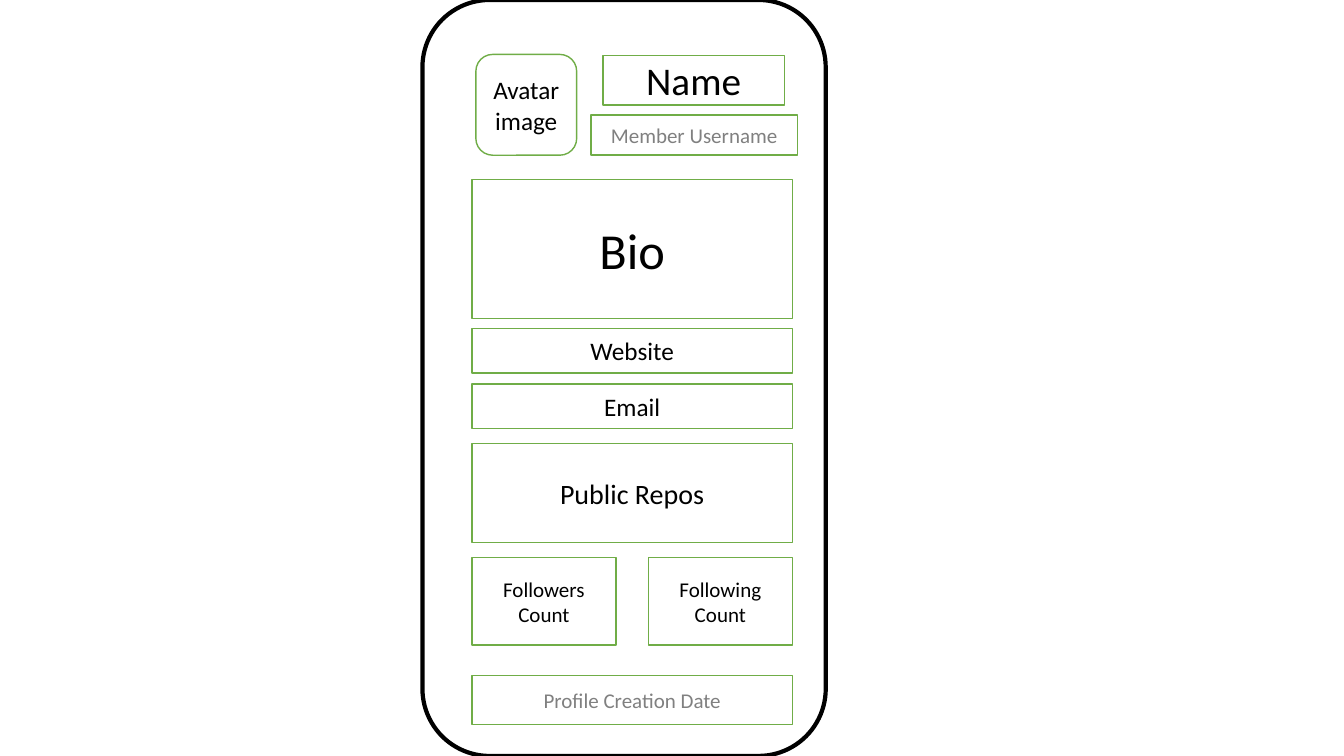
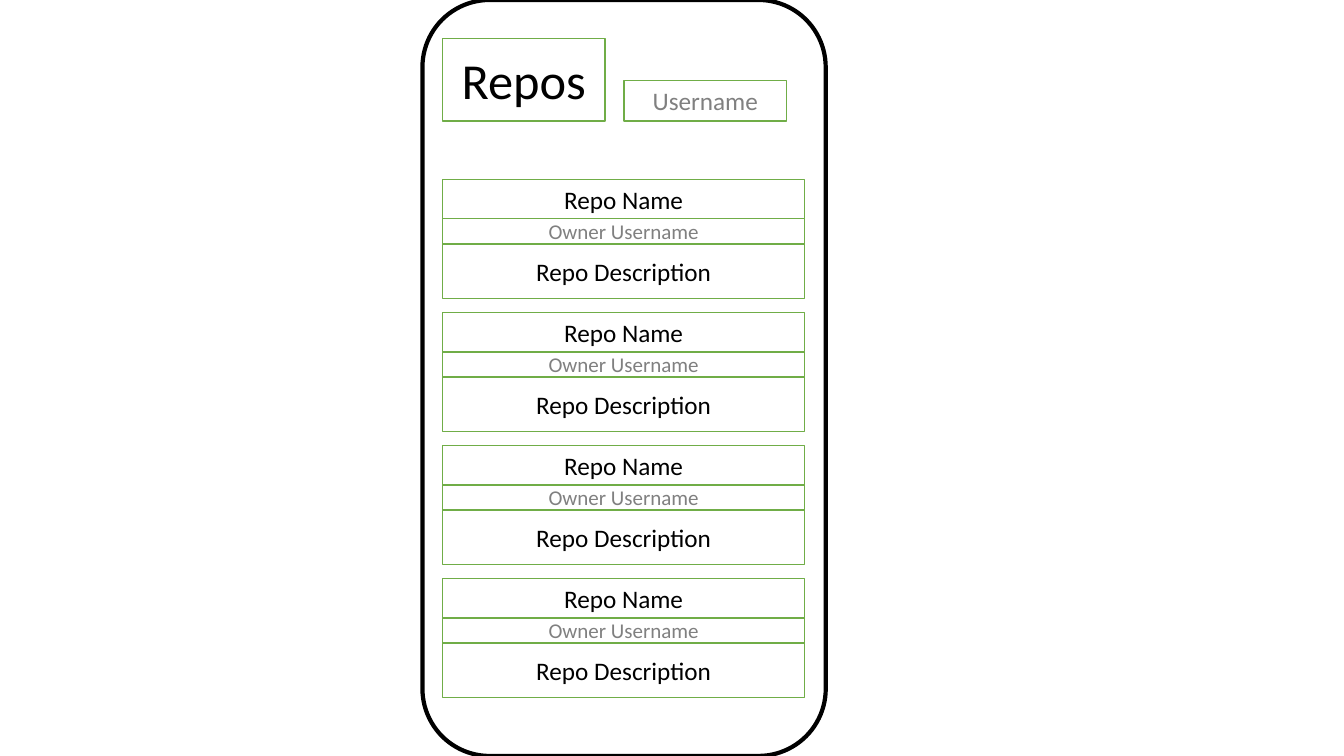
from pptx import Presentation
from pptx.dml.color import RGBColor
from pptx.enum.shapes import MSO_SHAPE
from pptx.enum.text import MSO_ANCHOR, PP_ALIGN
from pptx.util import Inches, Pt

COLORS = {"paper": "FFFFFF", "frame": "000000", "box": "70AD47",
          "text": "000000", "muted": "808080"}
FONT = "Calibri"


class Wireframe:
    """Draws phone screens made of outlined, labelled boxes."""

    def __init__(self, prs):
        self.prs = prs
        self.s = None

    def color(self, name):
        return RGBColor.from_string(COLORS[name])

    def outline(self, kind, x, y, w, h, line, weight):
        sp = self.s.shapes.add_shape(kind, Inches(x), Inches(y), Inches(w), Inches(h))
        sp.shadow.inherit = False
        sp.fill.solid()
        sp.fill.fore_color.rgb = self.color("paper")
        sp.line.color.rgb = self.color(line)
        sp.line.width = Pt(weight)
        return sp

    def screen(self):
        self.s = self.prs.slides.add_slide(self.prs.slide_layouts[6])
        self.outline(MSO_SHAPE.ROUNDED_RECTANGLE, 4.19, 0, 4, 7.5, "frame", 3)

    def box(self, text, x, y, w, h, size=18, color="text", kind=MSO_SHAPE.RECTANGLE):
        tf = self.outline(kind, x, y, w, h, "box", 1).text_frame
        tf.text = text
        tf.word_wrap = True
        tf.vertical_anchor = MSO_ANCHOR.MIDDLE
        for p in tf.paragraphs:
            p.alignment = PP_ALIGN.CENTER
            for r in p.runs:
                r.font.name = FONT
                r.font.size = Pt(size)
                r.font.color.rgb = self.color(color)


def profile_screen(wf):
    """Build the user profile screen."""
    left, width, half = 4.68, 3.18, 1.43
    wf.screen()
    wf.box("Avatar\nimage", 4.72, 0.54, 1, 1, kind=MSO_SHAPE.ROUNDED_RECTANGLE)
    wf.box("Name", 5.98, 0.55, 1.8, 0.49, 28)
    wf.box("Member Username", 5.86, 1.14, 2.05, 0.4, 15, "muted")
    for text, y, h, size, color in [
        ("Bio", 1.78, 1.38, 36, "text"),
        ("Website", 3.26, 0.44, 18, "text"),
        ("Email", 3.81, 0.44, 18, "text"),
        ("Public Repos", 4.4, 0.98, 20, "text"),
        ("Profile Creation Date", 6.7, 0.49, 15, "muted"),
    ]:
        wf.box(text, left, y, width, h, size, color)
    wf.box("Followers Count", left, 5.53, half, 0.87, 15)
    wf.box("Following Count", left + width - half, 5.53, half, 0.87, 15)


def repos_screen(wf):
    """Build the repository list screen."""
    left, width, top, pitch = 4.39, 3.59, 1.78, 1.32
    rows = [("Repo Name", 0.39, 18, "text"),
            ("Owner Username", 0.25, 15, "muted"),
            ("Repo Description", 0.54, 18, "text")]
    wf.screen()
    wf.box("Repos", left, 0.38, 1.61, 0.82, 36)
    wf.box("Username", 6.19, 0.8, 1.61, 0.4, 18, "muted")
    for card in range(4):
        y = top + card * pitch
        for text, h, size, color in rows:
            wf.box(text, left, y, width, h, size, color)
            y += h


prs = Presentation()
prs.slide_width = Inches(13.33)
prs.slide_height = Inches(7.5)
wf = Wireframe(prs)
profile_screen(wf)
repos_screen(wf)
prs.save("out.pptx")
